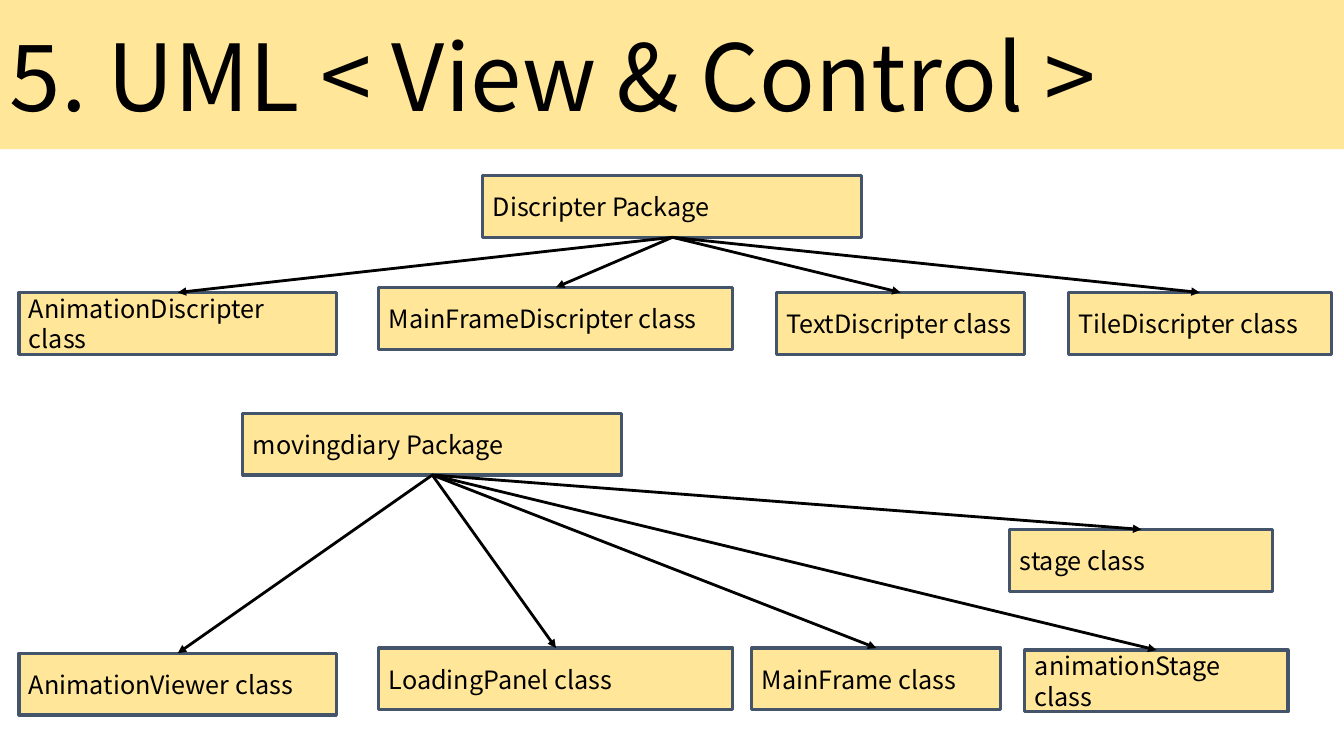
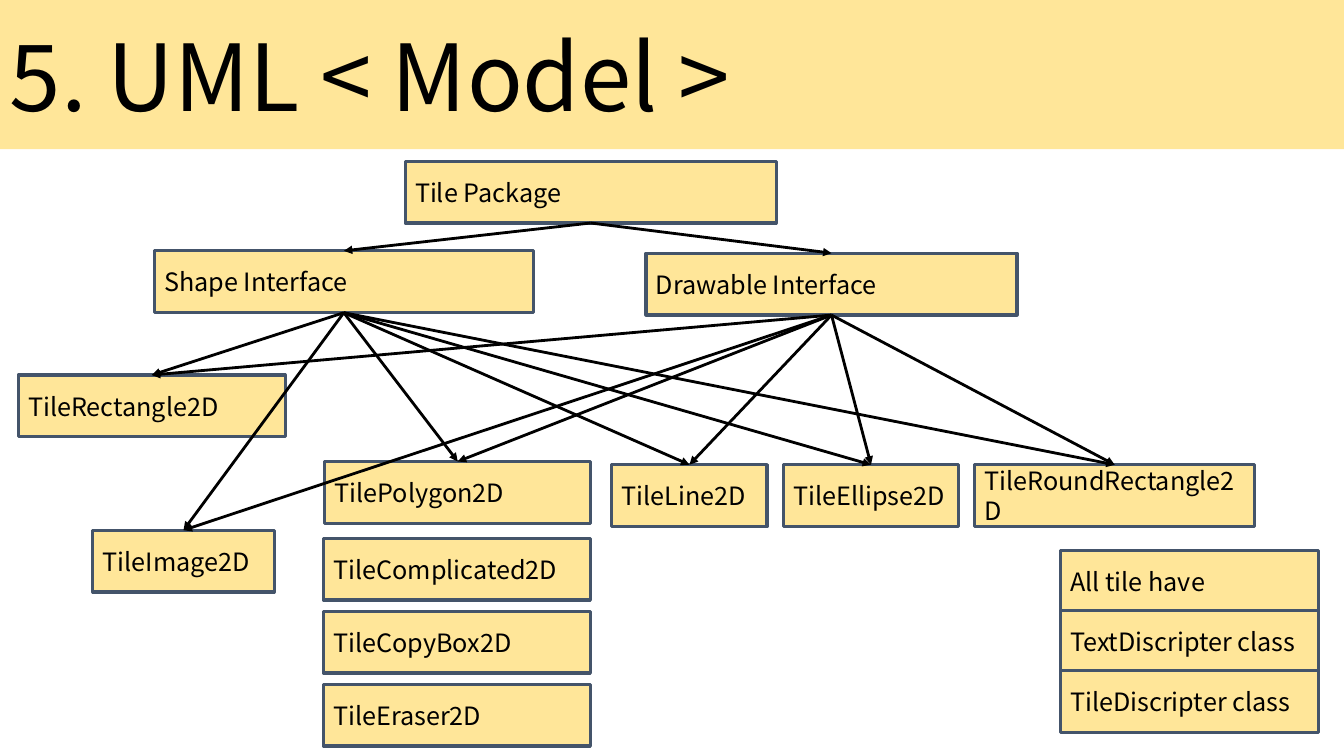
import pptx
import pptx.util
import pptx.dml.color
import pptx.enum.shapes
import pptx.enum.text
import pptx.oxml.ns
import lxml.etree

Cm, Pt = pptx.util.Cm, pptx.util.Pt
HUES = {"sand": "FFE699", "slate": "44546A", "ink": "000000"}
FACE = "Noto Sans CJK KR"
WIDE, TALL = 33.87, 19.05
BAND = (0, 0, WIDE, 3.76)
HIGH = 1.56

FRAME = {
    "word_wrap": True,
    "auto_size": pptx.enum.text.MSO_AUTO_SIZE.NONE,
    "vertical_anchor": pptx.enum.text.MSO_ANCHOR.MIDDLE,
    "margin_left": Cm(0.25), "margin_right": Cm(0.25),
    "margin_top": Cm(0.13), "margin_bottom": Cm(0.13),
}
PARA = {"alignment": pptx.enum.text.PP_ALIGN.LEFT}
TITLE = {"name": FACE, "size": Pt(66), "bold": False}
LABEL = {"name": FACE, "size": Pt(18)}


def style(item, vals):
    """Set each named attribute of an item."""
    for key, val in vals.items():
        setattr(item, key, val)


def hue(name):
    """Return a named colour."""
    return pptx.dml.color.RGBColor.from_string(HUES[name])


def write(shape, text, font):
    """Fill a shape with sand and write its text at the left."""
    shape.fill.solid()
    shape.fill.fore_color.rgb = hue("sand")
    frame = shape.text_frame
    style(frame, FRAME)
    para = frame.paragraphs[0]
    style(para, PARA)
    run = para.add_run()
    run.text = text
    style(run.font, font)
    run.font.color.rgb = hue("ink")


def stroke(line, name, width):
    """Give a line its colour and width."""
    line.color.rgb = hue(name)
    line.width = Pt(width)


def page(deck, text):
    """Add a slide with the title band."""
    slide = deck.slides.add_slide(deck.slide_layouts[5])
    head = slide.shapes.title
    sides = ("left", "top", "width", "height")
    style(head, dict(zip(sides, map(Cm, BAND))))
    write(head, text, TITLE)
    return slide


def node(slide, text, left, top, width):
    """Add one labelled box."""
    kind = pptx.enum.shapes.MSO_SHAPE.RECTANGLE
    shape = slide.shapes.add_shape(kind, *map(Cm, (left, top, width, HIGH)))
    shape.shadow.inherit = False
    stroke(shape.line, "slate", 2.25)
    write(shape, text, LABEL)
    return shape


def arrow(slide, start, end):
    """Join the foot of one box to the top of another."""
    kind = pptx.enum.shapes.MSO_CONNECTOR.STRAIGHT
    link = slide.shapes.add_connector(kind, 0, 0, 0, 0)
    link.begin_connect(start, 2)
    link.end_connect(end, 0)
    stroke(link.line, "ink", 2)
    qn = pptx.oxml.ns.qn
    tail = lxml.etree.SubElement(link.line._get_or_add_ln(), qn("a:tailEnd"))
    tail.set("type", "triangle")
    lxml.etree.SubElement(link._element.spPr, qn("a:effectLst"))


def graph(slide, box, parts, links):
    """Place boxes from the corner of a region, then link them by label."""
    left, top = box
    nodes = {text: node(slide, text, left + x, top + y, width)
             for text, x, y, width in parts}
    for start, ends in links.items():
        for end in ends:
            arrow(slide, nodes[start], nodes[end])


def tree(slide, box, root, kids):
    """Link one root box to all its children."""
    graph(slide, box, [root, *kids], {root[0]: [kid[0] for kid in kids]})


def stack(slide, box, step, texts):
    """Pile boxes downward at an equal step."""
    left, top, width = box
    for row, text in enumerate(texts):
        node(slide, text, left, top + row * step, width)


def view(deck):
    """Build the view and control slide."""
    slide = page(deck, "5. UML < View & Control >")
    tree(slide, (0.48, 4.42), ("Discripter Package", 11.69, 0, 9.55), [
        ("AnimationDiscripter class", 0, 2.95, 8),
        ("MainFrameDiscripter class", 9.07, 2.82, 8.92),
        ("TextDiscripter class", 19.08, 2.95, 6.27),
        ("TileDiscripter class", 26.44, 2.95, 6.63),
    ])
    tree(slide, (0.48, 10.41), ("movingdiary Package", 5.64, 0, 9.55), [
        ("AnimationViewer class", 0, 6.05, 8),
        ("LoadingPanel class", 9.07, 5.92, 8.92),
        ("MainFrame class", 18.47, 5.92, 6.27),
        ("stage class", 24.97, 2.93, 6.63),
        ("animationStage class", 25.35, 5.97, 6.63),
    ])


def model(deck):
    """Build the model slide."""
    slide = page(deck, "5. UML < Model >")
    root = ("Tile Package", 9.75, 0, 9.35)
    faces = [
        ("Shape Interface", 3.43, 2.26, 9.55),
        ("Drawable Interface", 15.82, 2.32, 9.35),
    ]
    tiles = [
        ("TileRectangle2D", 0, 5.39, 6.73),
        ("TileImage2D", 1.88, 9.3, 4.57),
        ("TilePolygon2D", 7.72, 7.57, 6.71),
        ("TileLine2D", 14.96, 7.65, 3.91),
        ("TileEllipse2D", 19.28, 7.65, 4.42),
        ("TileRoundRectangle2D", 24.1, 7.65, 7.06),
    ]
    links = {root[0]: [face[0] for face in faces]}
    for face in faces:
        links[face[0]] = [tile[0] for tile in tiles]
    graph(slide, (0.46, 4.06), [root, *faces, *tiles], links)
    stack(slide, (8.15, 13.56, 6.73), 1.84,
          ["TileComplicated2D", "TileCopyBox2D", "TileEraser2D"])
    stack(slide, (26.72, 13.87, 6.5), 1.51,
          ["All tile have", "TextDiscripter class", "TileDiscripter class"])


deck = pptx.Presentation()
style(deck, {"slide_width": Cm(WIDE), "slide_height": Cm(TALL)})
view(deck)
model(deck)
deck.save("out.pptx")
